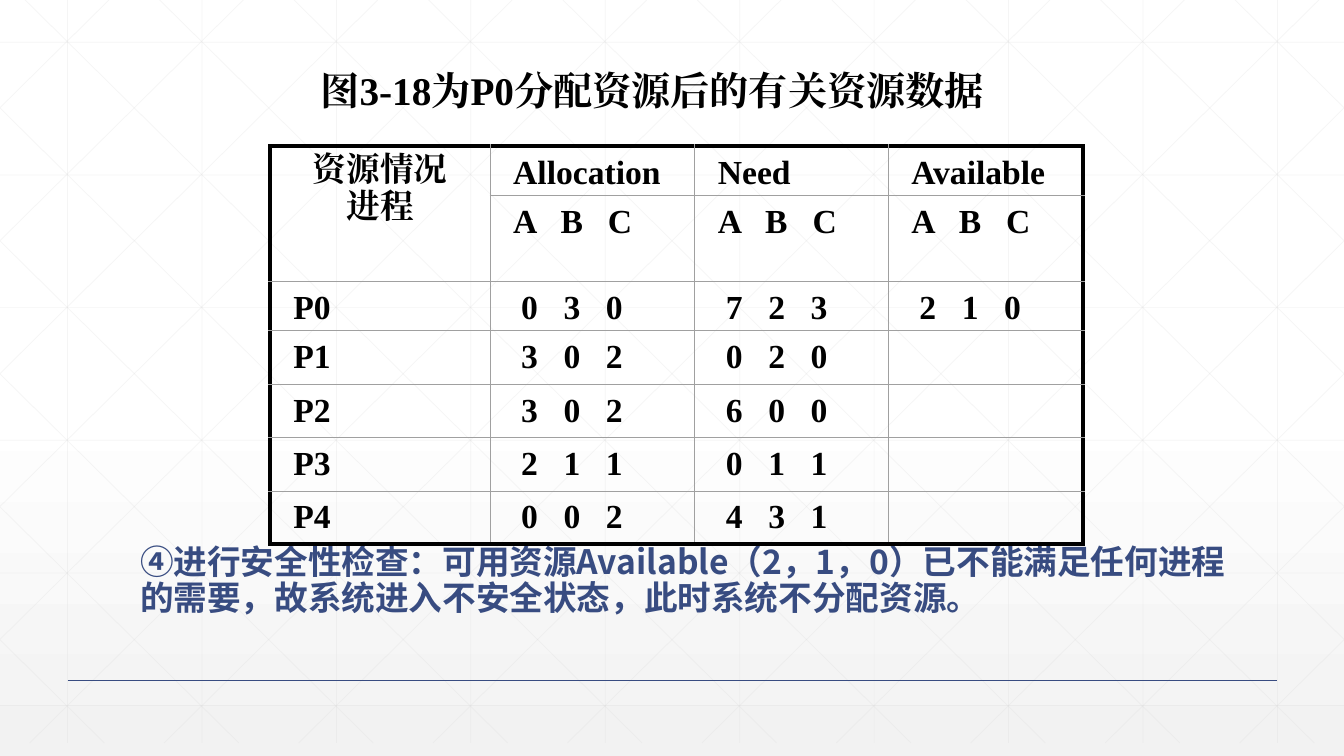
from copy import deepcopy
from pptx import Presentation
from pptx.dml.color import RGBColor
from pptx.enum.shapes import MSO_CONNECTOR
from pptx.enum.text import MSO_ANCHOR, PP_ALIGN
from pptx.oxml import parse_xml
from pptx.oxml.ns import nsdecls, qn
from pptx.oxml.xmlchemy import OxmlElement
from pptx.util import Inches, Pt

# Content
TITLE = "图3-18为P0分配资源后的有关资源数据"
CONCLUSION = ("④进行安全性检查：可用资源Available（2，1，0）已不能满足任何"
              "进程的需要，故系统进入不安全状态，此时系统不分配资源。")
ROWS = [
    ["资源情况\n进程", "Allocation", "Need", "Available"],
    ["", "A\tB\tC", "A\tB\tC", "A\tB\tC"],
    ["P0", "\t0\t3\t0", "\t7\t2\t3", "\t2\t1\t0"],
    ["P1", "\t3\t0\t2", "\t0\t2\t0", ""],
    ["P2", "\t3\t0\t2", "\t6\t0\t0", ""],
    ["P3", "\t2\t1\t1", "\t0\t1\t1", ""],
    ["P4", "\t0\t0\t2", "\t4\t3\t1", ""],
]
COL_WIDTHS = [2.18, 2.03, 1.92, 1.93]
ROW_HEIGHTS = [0.49, 0.48, 0.49, 0.53, 0.53, 0.53, 0.53]
LETTER_TABS = [0.47, 0.94]
DIGIT_TABS = [0.08, 0.5, 0.92]
SERIF, SANS = "Times New Roman", "Noto Sans CJK SC"
BLACK, NAVY, GRID, RULE = "000000", "384C81", "D9D9D9", "A0A0A0"
WIDTH, HEIGHT, GRID_BOTTOM = 13.33, 7.5, 7.37


def color(value):
    return RGBColor.from_string(value)


def style(p, size, font, value):
    for r in p.runs:
        r.font.size, r.font.bold, r.font.name = Pt(size), True, font
        r.font.color.rgb = color(value)
        ea = OxmlElement("a:ea")
        ea.set("typeface", font)
        r.font._element.find(qn("a:latin")).addnext(ea)


def add_text(s, box, text, size, font, value, wrap):
    tf = s.shapes.add_textbox(*map(Inches, box)).text_frame
    tf.word_wrap = wrap
    tf.vertical_anchor = MSO_ANCHOR.TOP
    tf.text = text
    style(tf.paragraphs[0], size, font, value)
    return tf.paragraphs[0]


def add_line(s, x1, y1, x2, y2, value, width, opacity=None):
    line = s.shapes.add_connector(MSO_CONNECTOR.STRAIGHT, *map(Inches, (x1, y1, x2, y2)))
    line.line.color.rgb = color(value)
    line.line.width = Pt(width)
    spPr = line._element.spPr
    spPr.append(OxmlElement("a:effectLst"))
    if opacity:
        alpha = OxmlElement("a:alpha")
        alpha.set("val", str(opacity * 1000))
        spPr.find(".//" + qn("a:srgbClr")).append(alpha)


def add_tabs(p, stops):
    tabs = OxmlElement("a:tabLst")
    for stop in stops:
        tab = OxmlElement("a:tab")
        tab.set("pos", str(Inches(stop)))
        tab.set("algn", "l")
        tabs.append(tab)
    p._p.get_or_add_pPr().append(tabs)


def add_borders(cell, outer):
    tcPr = cell._tc.get_or_add_tcPr()
    for side in "LRTB":
        width, value = (Pt(3), BLACK) if side in outer else (Pt(0.5), RULE)
        tcPr.append(parse_xml(
            f'<a:ln{side} {nsdecls("a")} w="{width}"><a:solidFill>'
            f'<a:srgbClr val="{value}"/></a:solidFill></a:ln{side}>'))


prs = Presentation()
prs.slide_width, prs.slide_height = Inches(WIDTH), Inches(HEIGHT)
s = prs.slides.add_slide(prs.slide_layouts[6])

# Background gradient, top to bottom
fill = s.background.fill
fill.gradient()
fill.gradient_angle = 270
stop_list = s.element.find(".//" + qn("a:gsLst"))
stop_list.insert(1, deepcopy(stop_list[0]))
for stop, (position, value) in zip(fill.gradient_stops,
                                   [(0, "FFFFFF"), (0.53, "FFFFFF"), (1, "F2F2F2")]):
    stop.position = position
    stop.color.rgb = color(value)

# Background grid: verticals, horizontals, then mirrored diagonals
STEP, LEAN = 4 / 3, 1.011
grid = [(0.67 + i * STEP, 0, 0.67 + i * STEP, GRID_BOTTOM) for i in range(10)]
grid += [(0, 0.42 + i * 1.316, WIDTH, 0.42 + i * 1.316) for i in range(6)]
for i in range(-5, 10):
    top = 0.25 + i * STEP
    x1, x2 = max(top, 0), min(top + LEAN * GRID_BOTTOM, WIDTH)
    y1, y2 = (x1 - top) / LEAN, (x2 - top) / LEAN
    grid += [(x1, y1, x2, y2), (WIDTH - x1, y1, WIDTH - x2, y2)]
for ends in grid:
    add_line(s, *ends, GRID, 0.5, 25)
add_line(s, 0.67, 6.75, 12.67, 6.75, NAVY, 1)

# Conclusion
p = add_text(s, (1.29, 5.36, 11.22, 1.25), CONCLUSION, 24, SANS, NAVY, True)
p.line_spacing = 0.9

# Resource table
n_rows, n_cols = len(ROWS), len(COL_WIDTHS)
table = s.shapes.add_table(n_rows, n_cols, Inches(2.68), Inches(1.45),
                           Inches(sum(COL_WIDTHS)), Inches(sum(ROW_HEIGHTS))).table
table.first_row = table.horz_banding = False
for column, width in zip(table.columns, COL_WIDTHS):
    column.width = Inches(width)
for row, height in zip(table.rows, ROW_HEIGHTS):
    row.height = Inches(height)
table.cell(0, 0).merge(table.cell(1, 0))

for i, row in enumerate(ROWS):
    for j, text in enumerate(row):
        cell = table.cell(i, j)
        outer = (("L" if j == 0 else "") + ("R" if j == n_cols - 1 else "")
                 + ("T" if i == 0 else "") + ("B" if i == n_rows - 1 else ""))
        add_borders(cell, outer)
        cell.fill.background()
        cell.margin_left, cell.margin_right = Inches(0.23), Inches(0.1)
        cell.margin_top, cell.margin_bottom = Inches(0.08), 0
        if not text:
            continue
        cell.text_frame.text = text
        for p in cell.text_frame.paragraphs:
            if "\t" in text:
                add_tabs(p, LETTER_TABS if i == 1 else DIGIT_TABS)
            style(p, 24, SERIF, BLACK)
            if i == j == 0:
                p.alignment = PP_ALIGN.CENTER

# The heading cell is centred across its full width
heading = table.cell(0, 0)
heading.margin_left = heading.margin_right = Inches(0.1)
heading.margin_top = Inches(0.05)

# Title
add_text(s, (3.08, 0.61, 7.25, 0.57), TITLE, 28, SERIF, BLACK, False)

prs.save("out.pptx")
